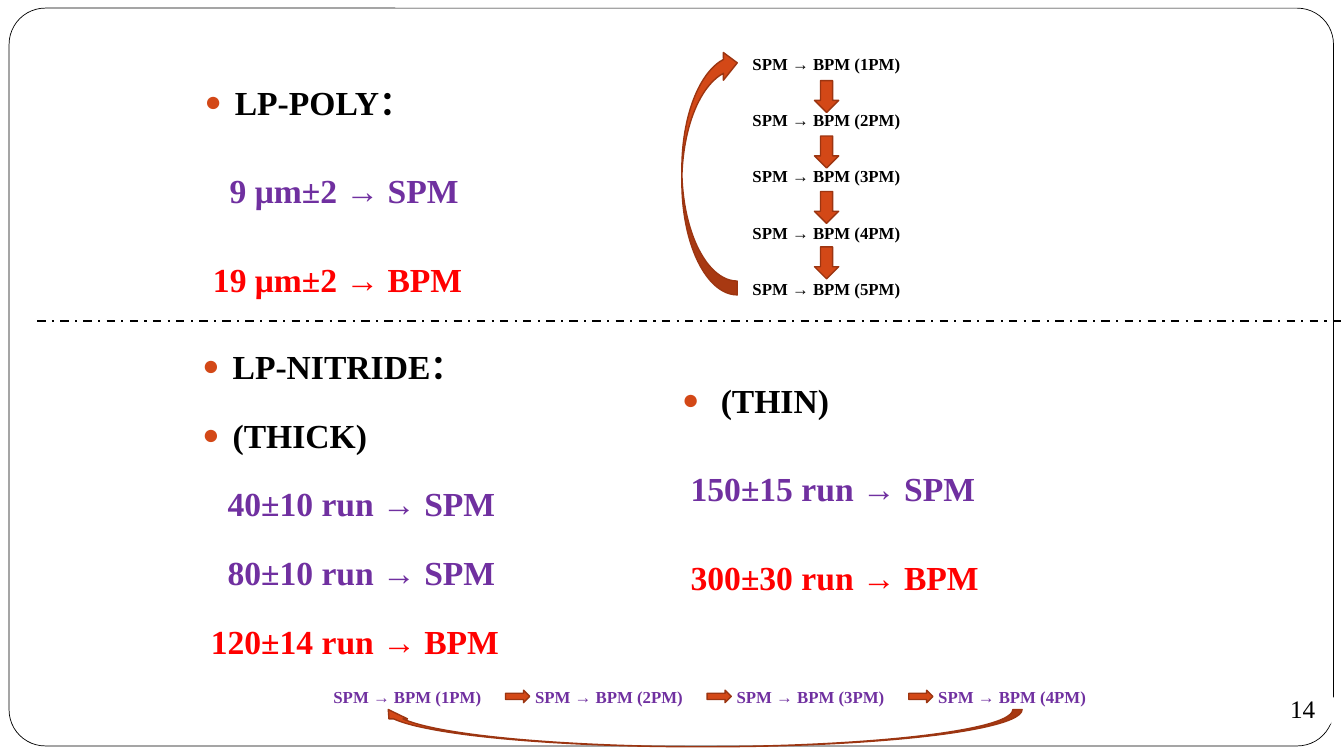
import dataclasses

import lxml.etree
import pptx
import pptx.dml.color
import pptx.enum.dml
import pptx.enum.shapes
import pptx.enum.text
import pptx.oxml.ns
import pptx.util

Pt = pptx.util.Pt
Shape = pptx.enum.shapes.MSO_SHAPE
Align = pptx.enum.text.PP_ALIGN
qn = pptx.oxml.ns.qn


@dataclasses.dataclass(frozen=True)
class Theme:
    font: str = "Times New Roman"
    black: str = "000000"
    white: str = "FFFFFF"
    accent: str = "D34817"
    edge: str = "9C3511"
    spm: str = "7030A0"
    bpm: str = "FF0000"
    large: float = 24
    page: float = 18
    small: float = 12


theme = Theme()


def rgb(code):
    return pptx.dml.color.RGBColor.from_string(code)


def bullet(para):
    props = para._p.get_or_add_pPr()
    tint = lxml.etree.SubElement(props, qn("a:buClr"))
    lxml.etree.SubElement(tint, qn("a:srgbClr"), val=theme.accent)
    lxml.etree.SubElement(props, qn("a:buSzPct"), val="85000")
    lxml.etree.SubElement(props, qn("a:buFont"), typeface=theme.font)
    lxml.etree.SubElement(props, qn("a:buChar"), char="●")


def write(para, text, size=theme.large, color=theme.black, bold=True,
          align=Align.LEFT, lines=1.0, before=0, left=0, hang=0, mark=False):
    """Fill one paragraph; left and hang are its indents in points."""
    if mark:
        bullet(para)
    props = para._p.get_or_add_pPr()
    props.set("marL", str(Pt(left)))
    props.set("indent", str(Pt(-hang)))
    para.alignment = align
    para.line_spacing = lines
    para.space_before = Pt(before)
    run = para.add_run()
    run.text = text
    run.font.name = theme.font
    run.font.size = Pt(size)
    run.font.bold = bold
    run.font.color.rgb = rgb(color)


def block(slide, box, rows, before=5.8, **style):
    """Add a text box; each row is its text and its own format."""
    frame = slide.shapes.add_textbox(*map(Pt, box)).text_frame
    frame.word_wrap = True
    for i, (text, extra) in enumerate(rows):
        para = frame.add_paragraph() if i else frame.paragraphs[0]
        write(para, text, before=before if i else 0, **{**style, **extra})


def shape(slide, kind, box, fill=theme.accent, line=theme.edge, width=1, turn=0):
    item = slide.shapes.add_shape(kind, *map(Pt, box))
    item.shadow.inherit = False
    item.fill.solid()
    item.fill.fore_color.rgb = rgb(fill)
    item.line.color.rgb = rgb(line)
    item.line.width = Pt(width)
    item.rotation = turn
    return item


def head(text, left=21.6):
    return text, dict(mark=True, left=left, hang=left)


def spm(text, left):
    return text, dict(color=theme.spm, left=left)


def bpm(text):
    return text, dict(color=theme.bpm, left=6)


def stage(n):
    return f"SPM → BPM ({n}PM)"


def border(slide, box):
    card = shape(slide, Shape.ROUNDED_RECTANGLE, box, theme.white, theme.black, 0.5)
    card.adjustments[0] = 0.049


def column(slide, box):
    """Five stages downwards, with an arrow back to the first."""
    x, y, w, h = box
    rows = [(stage(n), {}) for n in range(1, 6)]
    block(slide, box, rows, before=25.8, size=theme.small, align=Align.RIGHT)
    for i in range(4):
        shape(slide, Shape.DOWN_ARROW, (x + 56.2, y + 23 + i * 39.6, 17.3, 22.8))
    span, depth = 175.7, 39.6
    shape(slide, Shape.CURVED_DOWN_ARROW,
          (x - 106.6, y + 68.4, span, depth), turn=270)


def chain(slide, box):
    """Four stages across, with an arrow back to the first."""
    x, y, w, h = box
    pitch = 144
    for i in range(4):
        left = x + i * pitch
        block(slide, (left, y, 125, h), [(stage(i + 1), {})],
              size=theme.small, color=theme.spm)
        if i < 3:
            shape(slide, Shape.RIGHT_ARROW, (left + 130, y + 6, 17.3, 8.9))
    shape(slide, Shape.CURVED_DOWN_ARROW, (x + 39.6, y + 19.8, 459.4, 26.6), turn=180)


def number(slide, box, text):
    disc = shape(slide, Shape.OVAL, box, theme.white, theme.white, 0.75)
    frame = disc.text_frame
    frame.margin_left = frame.margin_right = 0
    frame.margin_top = frame.margin_bottom = 0
    frame.word_wrap = False
    frame.vertical_anchor = pptx.enum.text.MSO_ANCHOR.MIDDLE
    write(frame.paragraphs[0], text, size=theme.page, bold=False, align=Align.CENTER)


def divide(slide, left, right, y):
    rule = slide.shapes.add_connector(
        pptx.enum.shapes.MSO_CONNECTOR.STRAIGHT, Pt(left), Pt(y), Pt(right), Pt(y))
    rule.line.color.rgb = rgb(theme.black)
    rule.line.width = Pt(1.5)
    rule.line.dash_style = pptx.enum.dml.MSO_LINE.DASH_DOT
    lxml.etree.SubElement(rule._element.spPr, qn("a:effectLst"))


def main():
    deck = pptx.Presentation()
    deck.slide_width, deck.slide_height = Pt(960), Pt(540)
    slide = deck.slides.add_slide(deck.slide_layouts[6])

    border(slide, (6.5, 5.8, 946, 527))
    block(slide, (139, 25.9, 228, 190), [
        head("LP-POLY："),
        spm("9 μm±2 → SPM", 18),
        bpm("19 μm±2 → BPM"),
    ], lines=2.0)
    column(slide, (525.6, 34.6, 124.6, 181.4))
    block(slide, (137.5, 229.3, 282, 244), [
        head("LP-NITRIDE："),
        head("(THICK)"),
        spm("40±10 run → SPM", 18),
        spm("80±10 run → SPM", 18),
        bpm("120±14 run → BPM"),
    ], lines=1.5)
    block(slide, (480.2, 238.8, 323, 190), [
        head("(THIN)", 27.6),
        spm("150±15 run → SPM", 6),
        bpm("300±30 run → BPM"),
    ], lines=2.0)
    chain(slide, (231.1, 487, 567.4, 28))
    number(slide, (906.5, 488.2, 48.2, 36), "14")
    divide(slide, 26.6, 960, 229.3)

    deck.save("out.pptx")


if __name__ == "__main__":
    main()
